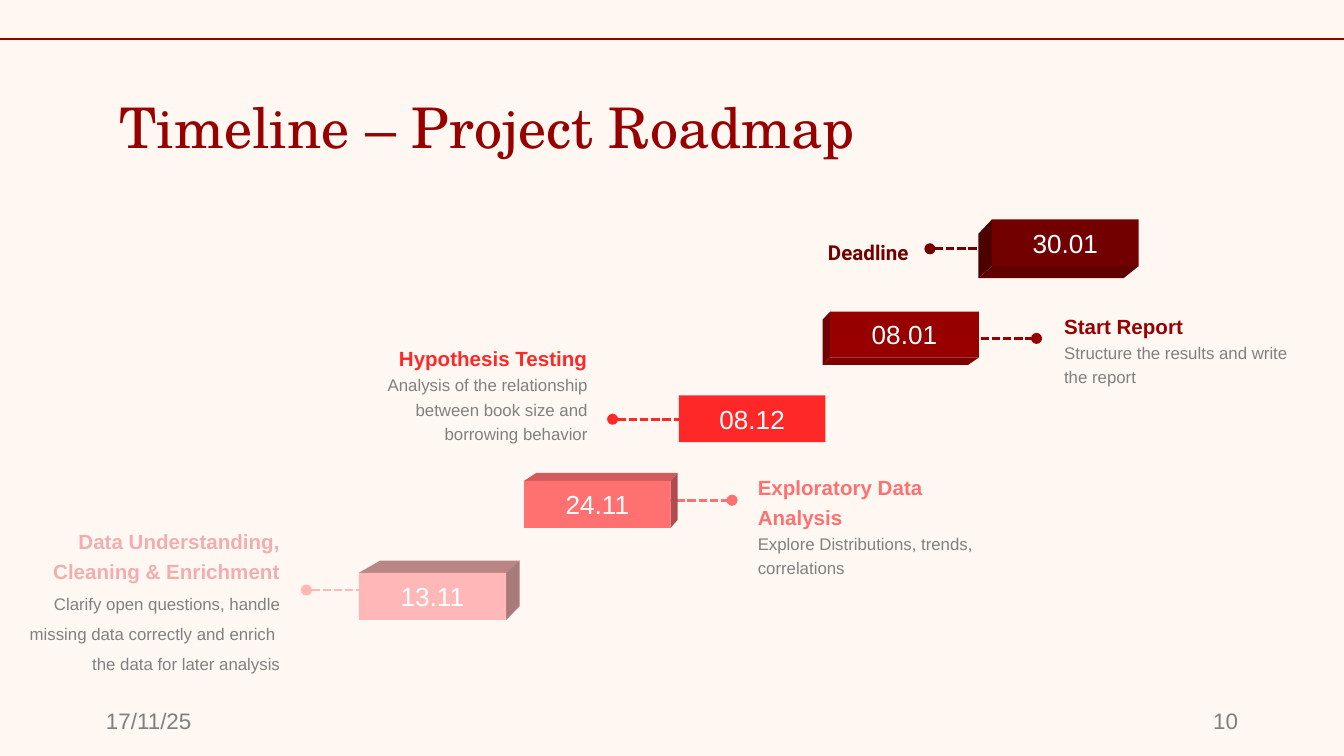
from collections import namedtuple

from lxml.etree import SubElement
from pptx import Presentation
from pptx.dml.color import RGBColor
from pptx.enum.dml import MSO_LINE
from pptx.enum.shapes import MSO_CONNECTOR, MSO_SHAPE
from pptx.enum.text import MSO_ANCHOR as Anchor, MSO_AUTO_SIZE, PP_ALIGN as Align
from pptx.oxml.ns import qn
from pptx.util import Pt

CREAM = RGBColor(0xFF, 0xF8, 0xF2)
WHITE = RGBColor(0xFF, 0xFF, 0xFF)
GREY = RGBColor(0x80, 0x80, 0x80)
FOOTER_GREY = RGBColor(0x7F, 0x7F, 0x7F)
DARK_RED = RGBColor(0x98, 0x00, 0x00)
MAROON = RGBColor(0x72, 0x00, 0x00)
MAROON_CAP = RGBColor(0x61, 0x00, 0x00)
MAROON_SIDE = RGBColor(0x4C, 0x00, 0x00)
DARK_RED_CAP = RGBColor(0x7C, 0x01, 0x00)
RED = RGBColor(0xFF, 0x28, 0x28)
CORAL = RGBColor(0xFF, 0x70, 0x70)
CORAL_CAP = RGBColor(0xD3, 0x5A, 0x5C)
CORAL_SIDE = RGBColor(0xAE, 0x4B, 0x4C)
PINK = RGBColor(0xFF, 0xB7, 0xB7)
PINK_TEXT = RGBColor(0xF3, 0xAD, 0xAF)
PINK_CAP = RGBColor(0xB9, 0x86, 0x85)
PINK_SIDE = RGBColor(0xA8, 0x7A, 0x79)

Box = namedtuple("Box", "left top width height")
# Depth of a block: offset of its back face, slants of cap and side, face colours
Depth = namedtuple("Depth", "dx dy cap_slant side_slant cap_color side_color turned")
Step = namedtuple("Step", "date box color depth line_x line_y label_box align "
                          "heading heading_color font detail detail_spacing")

LINE_LENGTH = 68.6
STEPS = [
    Step("13.11", Box(192.2, 306.9, 79, 25.2), PINK,
         Depth(7.2, 6.6, 11.5, 7.2, PINK_CAP, PINK_SIDE, False),
         164.2, 316.1, Box(7.2, 280.8, 149.8, 79.2), Align.RIGHT,
         "Data Understanding, Cleaning & Enrichment", PINK_TEXT, "Arial",
         "Clarify open questions, handle missing data correctly and enrich  "
         "the data for later analysis", 1.5),
    Step("24.11", Box(280.8, 257.6, 78.5, 25.2), CORAL,
         Depth(3.8, 4.2, 6.5, 4.3, CORAL_CAP, CORAL_SIDE, False),
         323.6, 268, Box(398.9, 252, 136.8, 69.8), Align.LEFT,
         "Exploratory Data Analysis", CORAL, "Arial",
         "Explore Distributions, trends, correlations", 1.2),
    Step("08.12", Box(363.7, 211.9, 78.5, 25), RED, None,
         328.2, 224.6, Box(185, 182.9, 136.8, 54), Align.RIGHT,
         "Hypothesis Testing", RED, "Arial",
         "Analysis of the relationship between book size and borrowing behavior", 1.2),
    Step("08.01", Box(444.7, 167, 79.7, 24.5), DARK_RED,
         Depth(4, 4, 5.8, 4.2, DARK_RED_CAP, MAROON, True),
         486.7, 181.3, Box(563, 165.6, 136.8, 41), Align.LEFT,
         "Start Report", DARK_RED, "Arial",
         "Structure the results and write the report", 1.2),
    Step("30.01", Box(531.4, 117.6, 78.6, 25), MAROON,
         Depth(7.2, 6.4, 8, 7.6, MAROON_CAP, MAROON_SIDE, True),
         498.2, 133.3, Box(357.1, 126, 136.8, 14.4), Align.RIGHT,
         "Deadline", MAROON, "Roboto", None, None),
]


def in_points(box):
    return [Pt(value) for value in box]


def add_span(para, text, size, color, font="Arial", bold=False):
    span = para.add_run()
    span.text = text
    span.font.size, span.font.name, span.font.bold = Pt(size), font, bold
    span.font.color.rgb = color


def add_line(page, start, end, color, weight):
    line = page.shapes.add_connector(
        MSO_CONNECTOR.STRAIGHT, *in_points(start), *in_points(end))
    line.line.color.rgb = color
    line.line.width = Pt(weight)
    SubElement(line._element.spPr, qn("a:effectLst"))
    return line


def paint(shape, color):
    shape.shadow.inherit = False
    shape.fill.solid()
    shape.fill.fore_color.rgb = color
    shape.line.fill.background()


def add_header(page, box):
    # Rule across the page, then the title
    add_line(page, (0, 21), (720, 21), DARK_RED, 0.75)
    title = page.shapes.title
    title.left, title.top, title.width, title.height = in_points(box)
    frame = title.text_frame
    frame.auto_size = MSO_AUTO_SIZE.NONE
    frame.vertical_anchor = Anchor.TOP
    frame.margin_left = frame.margin_right = Pt(7.2)
    frame.margin_top = frame.margin_bottom = Pt(7.2)
    para = frame.paragraphs[0]
    para.alignment = Align.LEFT
    add_span(para, "Timeline – Project Roadmap", 30, DARK_RED, "TeX Gyre Schola")


def add_footer(page, box):
    for text, align in (("17/11/25", Align.LEFT), ("10", Align.RIGHT)):
        left = box.left if align == Align.LEFT else box.left + box.width - 162
        frame = page.shapes.add_textbox(
            *in_points((left, box.top, 162, box.height))).text_frame
        frame.word_wrap = True
        frame.vertical_anchor = Anchor.MIDDLE
        frame.paragraphs[0].alignment = align
        add_span(frame.paragraphs[0], text, 12, FOOTER_GREY)


def add_face(page, box, corners, color, turned):
    # A turned block is the same block rotated by half a turn
    if turned:
        corners = [(box.width - x, box.height - y) for x, y in corners]
    points = [(Pt(box.left + x), Pt(box.top + y)) for x, y in corners]
    builder = page.shapes.build_freeform(*points[0])
    builder.add_line_segments(points[1:], close=True)
    paint(builder.convert_to_shape(), color)


def add_block(page, box, date, color, depth):
    # Cap and side faces
    if depth:
        w, h = box.width, box.height
        back_x, back_y = w + depth.dx, -depth.dy
        cap = [(0, 0), (depth.cap_slant, back_y), (back_x, back_y), (w, 0)]
        side = [(w, h), (w, 0), (back_x, back_y), (back_x, h - depth.side_slant)]
        add_face(page, box, cap, depth.cap_color, depth.turned)
        add_face(page, box, side, depth.side_color, depth.turned)
    # Front face with the date
    front = page.shapes.add_shape(MSO_SHAPE.RECTANGLE, *in_points(box))
    paint(front, color)
    frame = front.text_frame
    frame.vertical_anchor = Anchor.MIDDLE
    frame.paragraphs[0].alignment = Align.CENTER
    add_span(frame.paragraphs[0], date, 14, WHITE)


def add_label(page, box, step):
    frame = page.shapes.add_textbox(*in_points(box)).text_frame
    frame.word_wrap = True
    frame.auto_size = MSO_AUTO_SIZE.SHAPE_TO_FIT_TEXT
    frame.margin_top = frame.margin_bottom = 0
    para = frame.paragraphs[0]
    para.alignment, para.line_spacing = step.align, 1.2
    add_span(para, step.heading, 11, step.heading_color, step.font, True)
    if step.detail:
        para = frame.add_paragraph()
        para.alignment, para.line_spacing = step.align, step.detail_spacing
        add_span(para, step.detail, 9, GREY)


def add_step(page, step):
    # Dashed leader with round ends, partly behind the block
    leader = add_line(page, (step.line_x, step.line_y),
                      (step.line_x + LINE_LENGTH, step.line_y), step.color, 1.5)
    leader.line.dash_style = MSO_LINE.SQUARE_DOT
    for end in ("a:headEnd", "a:tailEnd"):
        SubElement(leader.line._get_or_add_ln(), qn(end), type="oval")
    add_block(page, step.box, step.date, step.color, step.depth)
    add_label(page, step.label_box, step)


def main():
    deck = Presentation()
    deck.slide_width, deck.slide_height = Pt(720), Pt(405)
    page = deck.slides.add_slide(deck.slide_layouts[5])
    page.background.fill.solid()
    page.background.fill.fore_color.rgb = CREAM
    add_header(page, Box(56.9, 42.5, 607, 45.4))
    add_footer(page, Box(49.7, 375.1, 620.6, 21.6))
    for step in STEPS:
        add_step(page, step)
    deck.save("out.pptx")


if __name__ == "__main__":
    main()
